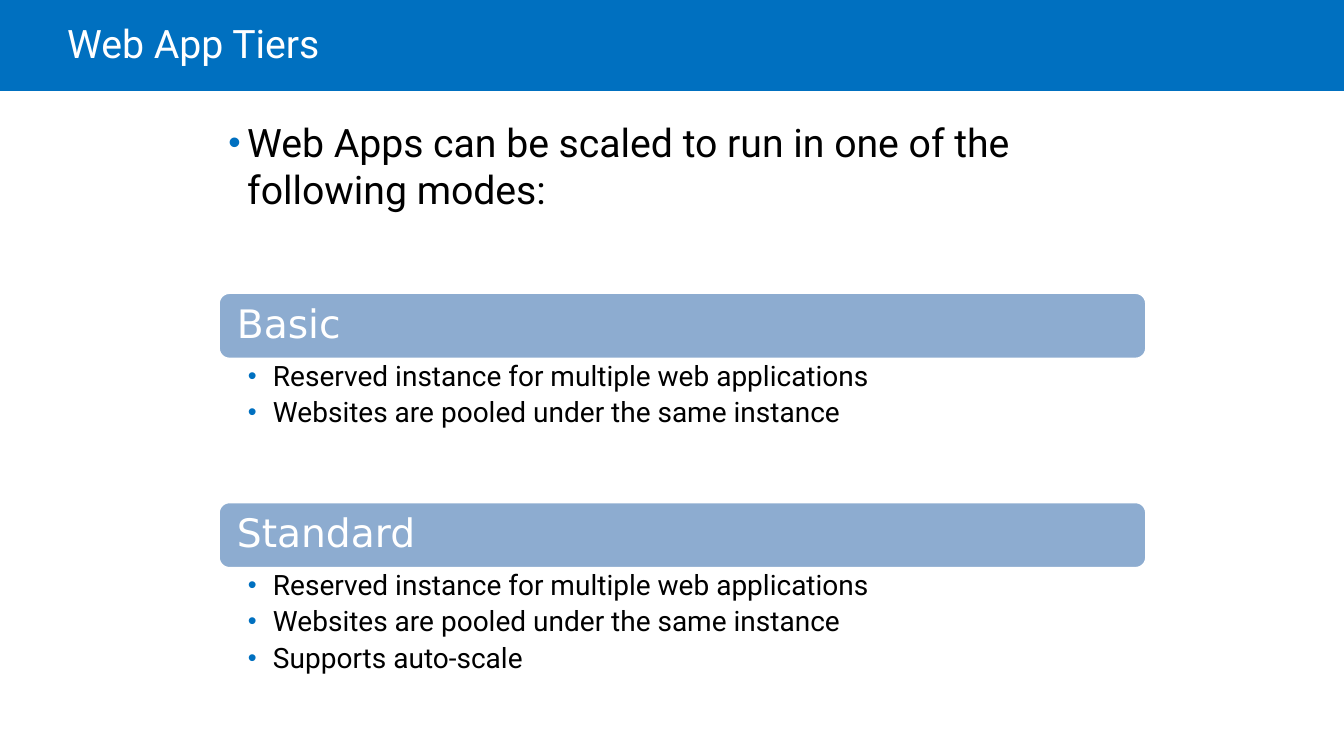
from dataclasses import dataclass

from pptx import Presentation
from pptx.dml.color import RGBColor as RGB
from pptx.enum.shapes import MSO_SHAPE as SHAPE
from pptx.enum.text import MSO_ANCHOR as ANCHOR, MSO_AUTO_SIZE as FIT, PP_ALIGN as ALIGN
from pptx.oxml.ns import qn
from pptx.util import Pt
from lxml import etree


@dataclass(frozen=True)
class Theme:
    blue: RGB = RGB(0x00, 0x70, 0xC0)
    bar: RGB = RGB(0x8D, 0xAC, 0xD0)
    white: RGB = RGB(0xFF, 0xFF, 0xFF)
    black: RGB = RGB(0x00, 0x00, 0x00)
    font: str = "Roboto"
    bar_font: str = "DejaVu Sans"
    large: int = 28
    small: int = 20


def add_bullet(p, indent, color):
    pPr = p._p.get_or_add_pPr()
    pPr.set("marL", str(Pt(indent)))
    pPr.set("indent", str(Pt(-indent)))
    clr = etree.SubElement(pPr, qn("a:buClr"))
    etree.SubElement(clr, qn("a:srgbClr"), val=str(color))
    etree.SubElement(pPr, qn("a:buSzPct"), val="90000")
    etree.SubElement(pPr, qn("a:buFont"), typeface="Arial")
    etree.SubElement(pPr, qn("a:buChar"), char="•")


def write(tf, lines, *, font, size, color, insets=(7.2, 3.6, 7.2, 3.6), anchor=ANCHOR.TOP,
          spacing=1.0, after=0, indent=0, bullet=None, level=0):
    """Fill a text frame with one paragraph per line; insets run left, top, right, bottom."""
    tf.word_wrap = True
    tf.auto_size = FIT.NONE
    tf.vertical_anchor = anchor
    tf.margin_left, tf.margin_top, tf.margin_right, tf.margin_bottom = map(Pt, insets)
    for i, line in enumerate(lines):
        p = tf.add_paragraph() if i else tf.paragraphs[0]
        p.alignment = ALIGN.LEFT
        p.level = level
        p.line_spacing = spacing
        p.space_before = Pt(0)
        p.space_after = Pt(after)
        if bullet is not None:
            add_bullet(p, indent, bullet)
        r = p.add_run()
        r.text = line
        r.font.name = font
        r.font.size = Pt(size)
        r.font.color.rgb = color


class Deck:
    def __init__(self, prs, theme):
        self.theme = theme
        self.s = prs.slides.add_slide(prs.slide_layouts[5])

    def shape(self, kind, box, fill):
        sp = self.s.shapes.add_shape(kind, *map(Pt, box))
        sp.shadow.inherit = False
        sp.fill.solid()
        sp.fill.fore_color.rgb = fill
        sp.line.fill.background()
        return sp

    def title(self, text, width, height, left):
        """Place the title over a full-width band."""
        t = self.theme
        band = self.shape(SHAPE.RECTANGLE, (0, 0, width, height), t.blue)
        sp = self.s.shapes.title
        band._element.addnext(sp._element)
        sp.left, sp.top, sp.width, sp.height = map(Pt, (left, 0, width - 2 * left, height))
        write(sp.text_frame, [text], font=t.font, size=t.large, color=t.white,
              insets=(0, 3.6, 7.2, 3.6), anchor=ANCHOR.MIDDLE, spacing=0.9)

    def bullets(self, lines, box, size, indent, **fmt):
        t = self.theme
        sp = self.s.shapes.add_textbox(*map(Pt, box))
        write(sp.text_frame, lines, font=t.font, size=size, color=t.black,
              indent=indent, bullet=t.blue, **fmt)

    def bar(self, text, box):
        t = self.theme
        sp = self.shape(SHAPE.ROUNDED_RECTANGLE, box, t.bar)
        sp.line.color.rgb = t.white
        sp.line.width = Pt(2)
        write(sp.text_frame, [text], font=t.bar_font, size=t.large, color=t.white,
              insets=(11, 8.6, 11, 8.6), anchor=ANCHOR.MIDDLE, spacing=0.9)


def main():
    prs = Presentation()
    prs.slide_width, prs.slide_height = Pt(960), Pt(540)
    theme = Theme()
    deck = Deck(prs, theme)
    deck.title("Web App Tiers", 960, 65, left=48)

    left = 156
    deck.bullets(["Web Apps can be scaled to run in one of the following modes:"],
                 (left, 81, 639, 405), theme.large, 13.5)

    shared = ["Reserved instance for multiple web applications",
              "Websites are pooled under the same instance"]
    tiers = [("Basic", shared, 102), ("Standard", shared + ["Supports auto-scale"], 78)]
    top, width, bar_height = 209, 663, 47.5
    for name, features, height in tiers:
        deck.bar(name, (left, top, width, bar_height))
        top += bar_height
        deck.bullets(features, (left, top, width, height), theme.small, 18, level=1,
                     insets=(21, 2, 11.5, 2), spacing=0.9, after=4.5)
        top += height

    prs.save("out.pptx")


if __name__ == "__main__":
    main()
